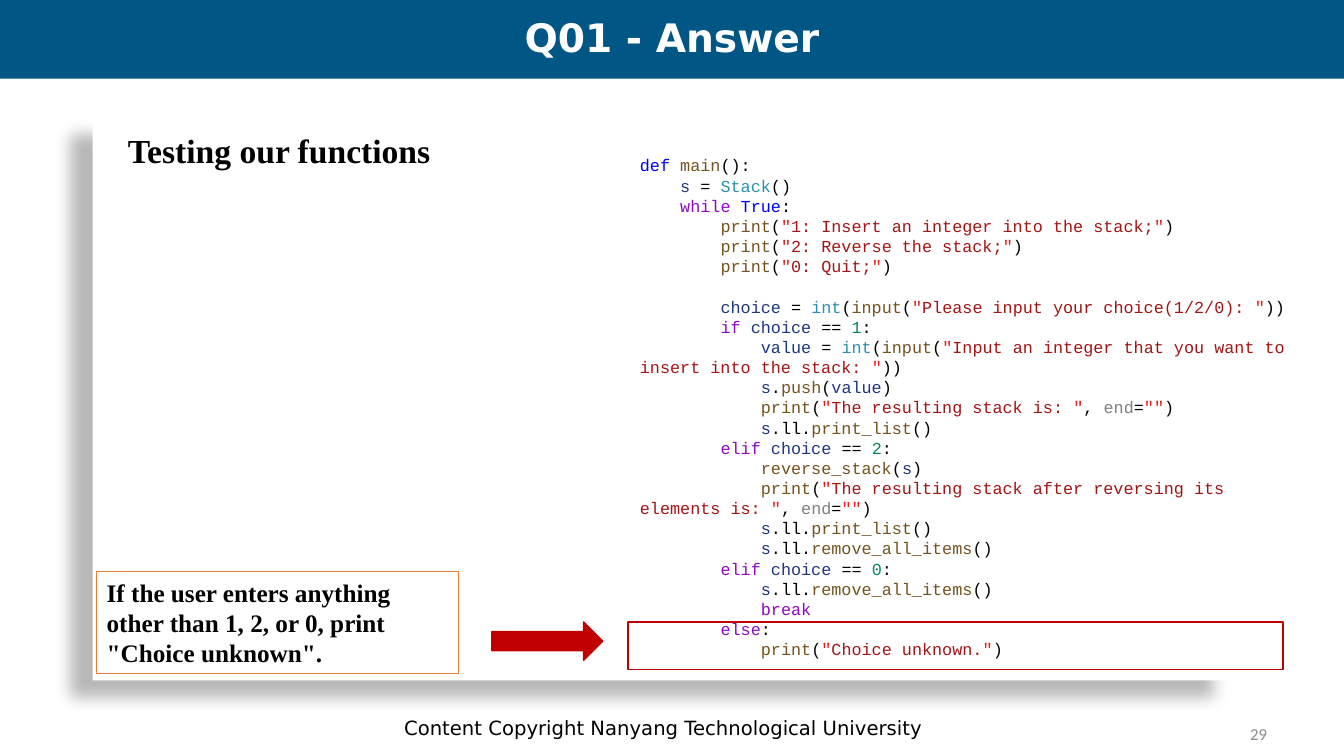
import itertools

import lxml.etree
import pptx
import pptx.dml.color
import pptx.enum.shapes
import pptx.enum.text
import pptx.oxml.ns
import pptx.util

Pt = pptx.util.Pt
SHAPE = pptx.enum.shapes.MSO_SHAPE
ALIGN = pptx.enum.text.PP_ALIGN
ANCHOR = pptx.enum.text.MSO_ANCHOR
FIT = pptx.enum.text.MSO_AUTO_SIZE

# Content
TITLE = "Q01 - Answer"
HEADING = "Testing our functions"
NOTE = 'If the user enters anything other than 1, 2, or 0, print "Choice unknown".'
FOOTER = "Content Copyright Nanyang Technological University"
PAGE_NUMBER = "29"
CODE = [
    'def main():',
    '    s = Stack()',
    '    while True:',
    '        print("1: Insert an integer into the stack;")',
    '        print("2: Reverse the stack;")',
    '        print("0: Quit;")',
    '\n        choice = int(input("Please input your choice(1/2/0): "))',
    '        if choice == 1:',
    '            value = int(input("Input an integer that you want to insert into the stack: "))',
    '            s.push(value)',
    '            print("The resulting stack is: ", end="")',
    '            s.ll.print_list()',
    '        elif choice == 2:',
    '            reverse_stack(s)',
    '            print("The resulting stack after reversing its elements is: ", end="")',
    '            s.ll.print_list()',
    '            s.ll.remove_all_items()',
    '        elif choice == 0:',
    '            s.ll.remove_all_items()',
    '            break',
    '        else:',
    '            print("Choice unknown.")',
]

COLORS = {
    "white": "FFFFFF", "black": "000000", "header": "005684", "number": "8C8C8C",
    "orange": "ED7D31", "red": "C00000",
    "keyword": "0000FF", "control": "8F08C4", "function": "74531F", "variable": "1F377F",
    "type": "2B91AF", "digit": "098658", "argument": "808080",
    "quote": "E21F1F", "string": "A31515",
}
WORDS = {
    "keyword": "def True",
    "control": "while if elif else break",
    "function": "main print input push print_list reverse_stack remove_all_items",
    "variable": "s choice value",
    "type": "Stack int",
    "digit": "0 1 2",
    "argument": "end",
}
WORD_COLORS = {word: name for name, words in WORDS.items() for word in words.split()}

# Geometry in points: left, top, width, height
WIDTH, HEIGHT = 960, 540
PANEL = (66.24, 84.24, 815.76, 401.76)
HEADER = (0, 0, WIDTH, 56.16)
TITLE_AREA = (0, 2.88, WIDTH, 51.12)
FOOTER_AREA = (128.88, 505.44, 689.76, 28.8)
NUMBER_AREA = (688.32, 509.76, 223.92, 28.8)
CODE_AREA = (450, 107.28, 495.36, 370.8)
HEADING_AREA = (84.24, 89.28, 267.12, 36)
NOTE_AREA = (69.12, 408.24, 258.48, 72.72)
ARROW = (351.36, 444.24, 79.2, 27.36)
HIGHLIGHT = (448.56, 444.24, 468, 33.84)


def color(name):
    return pptx.dml.color.RGBColor.from_string(COLORS[name])


def style(span, font, size, fill, bold=False):
    span.font.name = font
    span.font.size = Pt(size)
    span.font.bold = bold
    span.font.color.rgb = color(fill)


def write(box, text, font, size, fill, bold=False, align=ALIGN.LEFT,
          anchor=ANCHOR.TOP, fit=FIT.NONE):
    frame = box.text_frame
    frame.word_wrap = True
    frame.auto_size = fit
    frame.vertical_anchor = anchor
    frame.text = text
    para = frame.paragraphs[0]
    para.alignment = align
    for span in para.runs:
        style(span, font, size, fill, bold)
    return para


def add_box(page, area):
    return page.shapes.add_textbox(*map(Pt, area))


def add_shape(page, kind, area, fill=None, line=None):
    shape = page.shapes.add_shape(kind, *map(Pt, area))
    shape.shadow.inherit = False
    if fill:
        shape.fill.solid()
        shape.fill.fore_color.rgb = color(fill)
    else:
        shape.fill.background()
    if line:
        shape.line.color.rgb = color(line)
        shape.line.width = Pt(1)
    else:
        shape.line.fill.background()
    return shape


def add_shadow(shape, blur, distance, angle, opacity):
    qn = pptx.oxml.ns.qn
    effects = shape.element.spPr.find(qn("a:effectLst"))
    shadow = lxml.etree.SubElement(
        effects, qn("a:outerShdw"), blurRad=str(Pt(blur)), dist=str(Pt(distance)),
        dir=str(angle * 60000), algn="ctr", rotWithShape="0")
    tint = lxml.etree.SubElement(shadow, qn("a:srgbClr"), val=COLORS["black"])
    lxml.etree.SubElement(tint, qn("a:alpha"), val=str(opacity * 1000))


def tokens(line):
    """Yield (text, color name) for one line of code."""
    for index, part in enumerate(line.split('"')):
        if index:
            yield '"', "quote"
        if index % 2:
            yield part, "string"
            continue
        for _, letters in itertools.groupby(part, lambda c: c.isalnum() or c == "_"):
            word = "".join(letters)
            yield word, WORD_COLORS.get(word, "black")


def write_code(box):
    frame = box.text_frame
    frame.word_wrap = True
    frame.auto_size = FIT.SHAPE_TO_FIT_TEXT
    for index, line in enumerate(CODE):
        para = frame.add_paragraph() if index else frame.paragraphs[0]
        para.font.size = Pt(12)
        if line.startswith("\n"):
            para.add_line_break()
        for text, name in tokens(line.lstrip("\n")):
            if text:
                span = para.add_run()
                span.text = text
                style(span, "Courier New", 12, name)


def main():
    deck = pptx.Presentation()
    deck.slide_width, deck.slide_height = Pt(WIDTH), Pt(HEIGHT)
    page = deck.slides.add_slide(deck.slide_layouts[5])

    # Panel, header band and footer
    panel = add_shape(page, SHAPE.RECTANGLE, PANEL, "white")
    add_shadow(panel, 11.8, 19.7, 141, 28)
    add_shape(page, SHAPE.RECTANGLE, HEADER, "header")
    write(add_box(page, FOOTER_AREA), FOOTER, "DejaVu Sans", 14, "black",
          align=ALIGN.CENTER, anchor=ANCHOR.MIDDLE)
    write(add_box(page, NUMBER_AREA), PAGE_NUMBER, "Calibri", 12, "number",
          align=ALIGN.RIGHT, anchor=ANCHOR.MIDDLE)

    # Code listing
    write_code(add_box(page, CODE_AREA))

    # Title, raised above the header band
    title = page.shapes.title
    title.left, title.top, title.width, title.height = map(Pt, TITLE_AREA)
    para = write(title, TITLE, "DejaVu Sans", 28, "white", True, ALIGN.CENTER, ANCHOR.MIDDLE)
    para.line_spacing = 0.9
    page.shapes.element.append(title.element)

    # Heading and note
    write(add_box(page, HEADING_AREA), HEADING, "Times New Roman", 24, "black", True,
          fit=FIT.SHAPE_TO_FIT_TEXT)
    note = add_shape(page, SHAPE.RECTANGLE, NOTE_AREA, line="orange")
    write(note, NOTE, "Times New Roman", 18, "black", True,
          anchor=ANCHOR.MIDDLE, fit=FIT.SHAPE_TO_FIT_TEXT)

    # Arrow to the highlighted branch
    add_shape(page, SHAPE.RIGHT_ARROW, ARROW, "red", "red")
    add_shape(page, SHAPE.RECTANGLE, HIGHLIGHT, line="red")

    deck.save("out.pptx")


if __name__ == "__main__":
    main()
